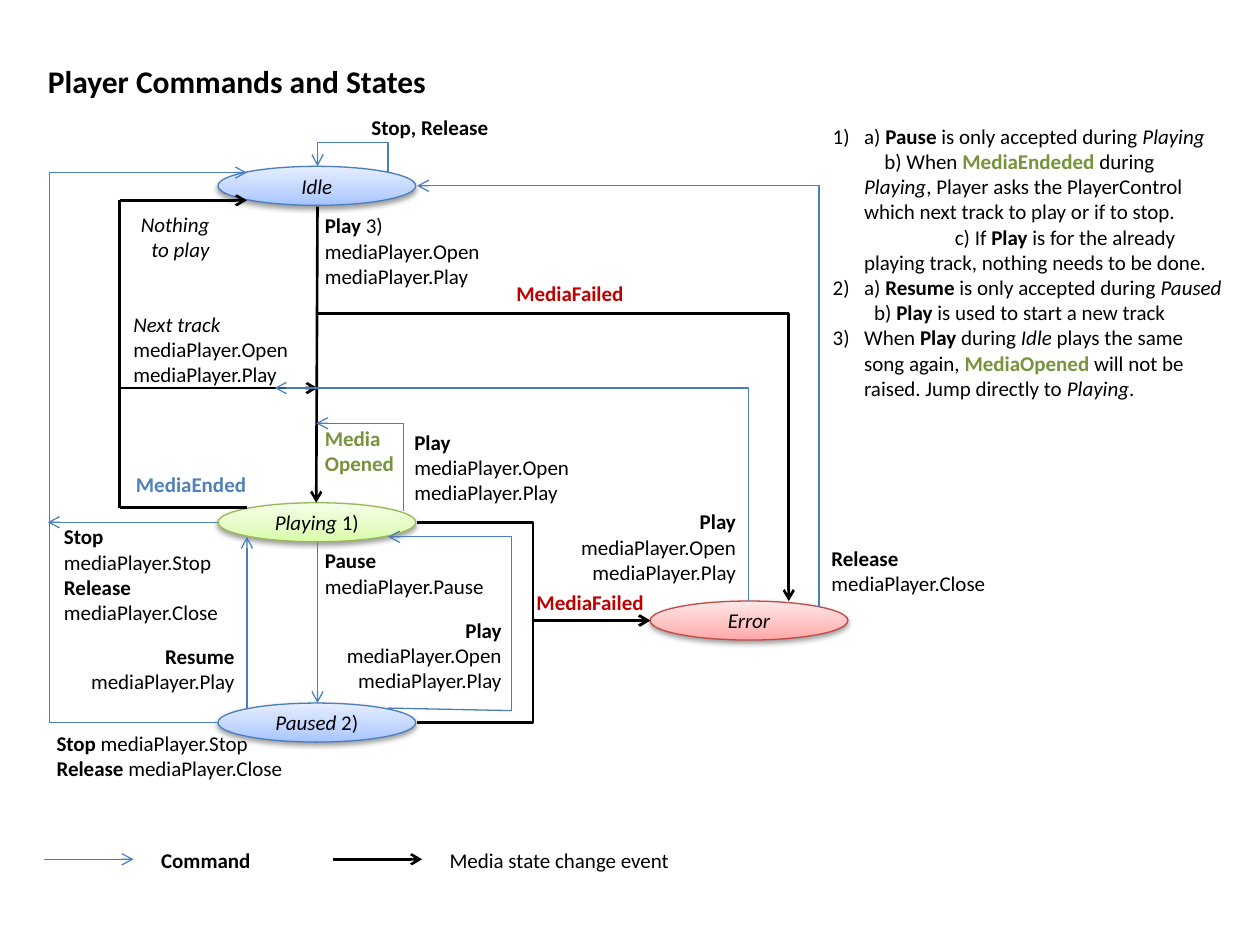
from copy import deepcopy
from lxml.etree import SubElement
from pptx import Presentation
from pptx.dml.color import RGBColor
from pptx.enum.shapes import MSO_CONNECTOR as Link, MSO_SHAPE as Preset
from pptx.enum.text import MSO_ANCHOR as Anchor, MSO_AUTO_SIZE as Fit, PP_ALIGN as Align
from pptx.oxml.ns import qn
from pptx.util import Inches, Pt

COLORS = {
    "text": "000000", "event": "000000", "command": "4B7EBC",
    "opened": "77933C", "ended": "4F81BD", "failed": "C00000",
}
STATE_COLORS = {
    "blue": ("4B7EBC", ("A4C4FF", "BFD4FF", "E6EEFF")),
    "green": ("98B955", ("DAFDA7", "E4FCC2", "F5FFE7")),
    "red": ("BF4C48", ("FFA6A5", "FFC0BF", "FFE7E7")),
}
MARKS = {"*": "bold", "_": "italic", "~": "green"}
WIDTHS = {"command": 0.75, "event": 1.5}
STATE_COLS, STATE_ROWS = 15.7, 3.1
RAIL, BRANCH, ENTRY, MAIN, EXIT = 3.9, 9.5, 19.6, 25.2, 30.8
STATE_LEFT, STATE_RIGHT = 17.3, 33.1
IDLE, PLAYING, PAUSED, ERROR = 13.2, 39.9, 55.8, 47.7
ERROR_LEFT = 51.6
OPEN_PLAY = ["mediaPlayer.Open", "mediaPlayer.Play"]


def cell(count):
    return Inches(count / 10)


def rgb(value):
    return RGBColor.from_string(value)


def styled_pieces(text):
    active, piece, pieces = frozenset(), "", []
    for char in text:
        if char in MARKS:
            if piece:
                pieces.append((piece, active))
            active, piece = active ^ {MARKS[char]}, ""
        else:
            piece += char
    return pieces + [(piece, active)] if piece else pieces


def apply_styles(font, styles):
    if styles & {"bold", "green"}:
        font.bold = True
    if "italic" in styles:
        font.italic = True
    if "green" in styles:
        font.color.rgb = rgb(COLORS["opened"])


def write_line(paragraph, text, align=Align.LEFT, color="text", size=12):
    paragraph.alignment = align
    font = paragraph.font
    font.name, font.size = "Calibri", Pt(size)
    font.color.rgb = rgb(COLORS[color])
    pieces = styled_pieces(text)
    for piece, styles in pieces:
        run = paragraph.add_run()
        run.text = piece
        apply_styles(font if len(pieces) == 1 else run.font, styles)


def write_lines(frame, lines, **look):
    for index, text in enumerate(lines):
        paragraph = frame.add_paragraph() if index else frame.paragraphs[0]
        write_line(paragraph, text, **look)


def add_label(slide, col, row, cols, lines, **look):
    label = slide.shapes.add_textbox(cell(col), cell(row), cell(cols), cell(1 + 2.03 * len(lines)))
    frame = label.text_frame
    frame.word_wrap = False
    frame.auto_size = Fit.SHAPE_TO_FIT_TEXT
    write_lines(frame, lines, **look)
    return frame


def add_title(slide, text):
    title = slide.shapes.title
    title.left, title.top, title.width, title.height = map(cell, (2.8, 4.4, 32.3, 4))
    frame = title.text_frame
    frame.word_wrap = False
    frame.auto_size = Fit.NONE
    frame.vertical_anchor = Anchor.TOP
    write_lines(frame, [text], size=18)


def add_state(slide, col, row, text, palette):
    state = slide.shapes.add_shape(Preset.OVAL, cell(col), cell(row), cell(STATE_COLS), cell(STATE_ROWS))
    outline, shades = STATE_COLORS[palette]
    state.fill.gradient()
    state.fill.gradient_angle = 90
    properties = state.element.spPr
    stop_list = properties.find(".//" + qn("a:gsLst"))
    stop_list.insert(1, deepcopy(stop_list[0]))
    for stop, shade, position in zip(state.fill.gradient_stops, shades, (0, 0.35, 1)):
        stop.color.rgb = rgb(shade)
        stop.position = position
    state.line.color.rgb = rgb(outline)
    state.line.width = Pt(0.75)
    state.shadow.inherit = False
    shadow = SubElement(properties.find(qn("a:effectLst")), qn("a:outerShdw"),
                        blurRad=str(Pt(3.1)), dist=str(Pt(1.6)), dir="5400000", rotWithShape="0")
    shade = SubElement(shadow, qn("a:srgbClr"), val="000000")
    SubElement(shade, qn("a:alpha"), val="38000")
    state.text_frame.vertical_anchor = Anchor.MIDDLE
    write_lines(state.text_frame, [text], align=Align.CENTER)


def add_link(slide, start, end, kind, arrow=True, shape=Link.STRAIGHT):
    link = slide.shapes.add_connector(shape, *map(cell, start + end))
    link.line.color.rgb = rgb(COLORS[kind])
    link.line.width = Pt(WIDTHS[kind])
    if arrow:
        SubElement(link.line._get_or_add_ln(), qn("a:tailEnd"), type="arrow")
    SubElement(link.element.spPr, qn("a:effectLst"))
    return link


def add_elbow(slide, start, end, kind, turn=None, upward=False):
    link = add_link(slide, start, end, kind, shape=Link.ELBOW)
    geometry = link.element.spPr.find(qn("a:prstGeom"))
    axis = 1 if upward else 0
    if turn is None:
        geometry.set("prst", "bentConnector2")
    else:
        share = (turn - start[axis]) / (end[axis] - start[axis])
        guides = geometry.find(qn("a:avLst"))
        SubElement(guides, qn("a:gd"), name="adj1", fmla=f"val {round(share * 100000)}")
    if upward:
        across, rise = abs(end[0] - start[0]), abs(end[1] - start[1])
        link.left = cell((start[0] + end[0] - rise) / 2)
        link.top = cell((start[1] + end[1] - across) / 2)
        link.width, link.height = cell(rise), cell(across)
        frame = link.element.spPr.find(qn("a:xfrm"))
        frame.attrib.pop("flipH", None)
        frame.set("rot", "16200000")
        frame.set("flipV", "1")


def add_notes_list(slide, entries):
    frame = slide.shapes.add_textbox(cell(65.1), cell(9.3), cell(33.1), cell(3)).text_frame
    frame.word_wrap = True
    write_lines(frame, [text for _, _, text in entries])
    for paragraph, (number, indent, _) in zip(frame.paragraphs, entries):
        properties = paragraph._p.get_or_add_pPr()
        properties.set("marL", str(Inches(0.25)))
        properties.set("indent", str(Inches(indent)))
        if number:
            bullet = properties.makeelement(qn("a:buAutoNum"), {"type": "arabicParenR", "startAt": str(number)})
            properties.insert(0, bullet)


def add_links(slide):
    idle_mid, playing_mid, paused_mid, error_mid = (row + STATE_ROWS / 2 for row in (IDLE, PLAYING, PAUSED, ERROR))
    playing_low, merge, ended, nothing = 42.6, 30.8, 40.3, 15.9
    for start, end, kind, arrow in (
        ((MAIN, 16.4), (25.1, PLAYING), "event", True),
        ((MAIN, 43), (MAIN, PAUSED), "command", True),
        ((STATE_LEFT, playing_mid), (3.8, playing_mid), "command", True),
        ((ENTRY, 56.2), (ENTRY, playing_low), "command", True),
        ((BRANCH, merge), (MAIN, merge), "event", True),
        ((BRANCH, ended), (ENTRY, ended), "event", False),
        ((BRANCH, ended), (BRANCH, nothing), "event", False),
        ((BRANCH, nothing), (ENTRY, nothing), "event", True),
        ((40.6, playing_low), (EXIT, playing_low), "command", True),
        ((40.6, playing_low), (40.6, 56.4), "command", False),
        ((EXIT, 56.2), (40.6, 56.4), "command", False),
        ((3.5, 68.2), (10.6, 68.2), "command", True),
        ((26.4, 68.2), (33.5, 68.2), "event", True),
    ):
        add_link(slide, start, end, kind, arrow)
    add_elbow(slide, (STATE_LEFT, paused_mid), (ENTRY, 13.7), "command", turn=RAIL)
    add_elbow(slide, (EXIT, 13.7), (MAIN, IDLE), "command", turn=11.3, upward=True)
    for row in (playing_mid, paused_mid):
        add_elbow(slide, (STATE_RIGHT, row), (ERROR_LEFT, error_mid), "event", turn=42.3)
    add_elbow(slide, (MAIN, 24.9), (62.6, ERROR), "event")
    for start, end in (((32, 40.6), (25.1, 33.6)), ((59.4, ERROR), (21.8, merge)),
                       ((65, 48.2), (STATE_RIGHT, idle_mid))):
        add_elbow(slide, start, end, "command", upward=True)


def add_labels(slide):
    for col, row, cols, lines in (
        (24.8, 16.4, 14.4, ["*Play* 3)"] + OPEN_PLAY),
        (24.8, 43, 14.8, ["*Pause*", "mediaPlayer.Pause"]),
        (4.1, 41.1, 14.4, ["*Stop*", "mediaPlayer.Stop", "*Release*", "mediaPlayer.Close"]),
        (9.6, 24.2, 14.4, ["_Next track_"] + OPEN_PLAY),
        (3.5, 57.5, 20.1, ["*Stop* mediaPlayer.Stop", "*Release* mediaPlayer.Close"]),
        (28.5, 8.6, 11.4, ["*Stop, Release*"]),
        (11.8, 66.8, 9.2, ["*Command*"]),
        (34.7, 66.8, 19.6, ["Media state change event"]),
        (31.9, 33.6, 14.4, ["*Play*"] + OPEN_PLAY),
        (65, 42.8, 14.4, ["*Release*", "mediaPlayer.Close"]),
    ):
        add_label(slide, col, row, cols, lines)
    for col, row, cols, lines in (
        (6.1, 50.6, 13.5, ["*Resume*", "mediaPlayer.Play"]),
        (26.4, 48.5, 14.4, ["*Play*"] + OPEN_PLAY),
        (45, 39.9, 14.4, ["*Play*"] + OPEN_PLAY),
    ):
        add_label(slide, col, row, cols, lines, align=Align.RIGHT)
    add_label(slide, 24.8, 33.3, 7.6, ["*Media*", "*Opened*"], color="opened")
    add_label(slide, 9.8, 36.9, 10.9, ["*MediaEnded*"], color="ended")
    for col, row in ((41.6, 46.3), (40, 21.8)):
        add_label(slide, col, row, 10.6, ["*MediaFailed*"], color="failed")
    nothing = add_label(slide, 10.2, 16.3, 7.5, ["_Nothing_", "_to play_"])
    nothing.paragraphs[1].alignment = Align.RIGHT


def main():
    deck = Presentation()
    deck.slide_width, deck.slide_height = cell(100), cell(75)
    slide = deck.slides.add_slide(deck.slide_layouts[5])
    add_title(slide, "*Player Commands and States*")
    add_state(slide, STATE_LEFT, IDLE, "_Idle_", "blue")
    add_state(slide, STATE_LEFT, PLAYING, "_Playing_ 1)", "green")
    add_state(slide, STATE_LEFT, PAUSED, "_Paused_ 2)", "blue")
    add_state(slide, ERROR_LEFT, ERROR, "_Error_", "red")
    add_links(slide)
    add_labels(slide)
    add_notes_list(slide, [
        (1, -0.25, "a) *Pause* is only accepted during _Playing_"),
        (None, 0.16, "b) When ~MediaEndeded~ during _Playing_, Player asks the PlayerControl "
                     "which next track to play or if to stop."),
        (None, 0.72, "c) If *Play* is for the already playing track, nothing needs to be done."),
        (2, -0.25, "a) *Resume* is only accepted during _Paused_"),
        (None, 0.08, "b) *Play* is used to start a new track"),
        (3, -0.25, "When *Play* during _Idle_ plays the same song again, ~MediaOpened~ "
                   "will not be raised. Jump directly to _Playing_."),
    ])
    deck.save("out.pptx")


main()
